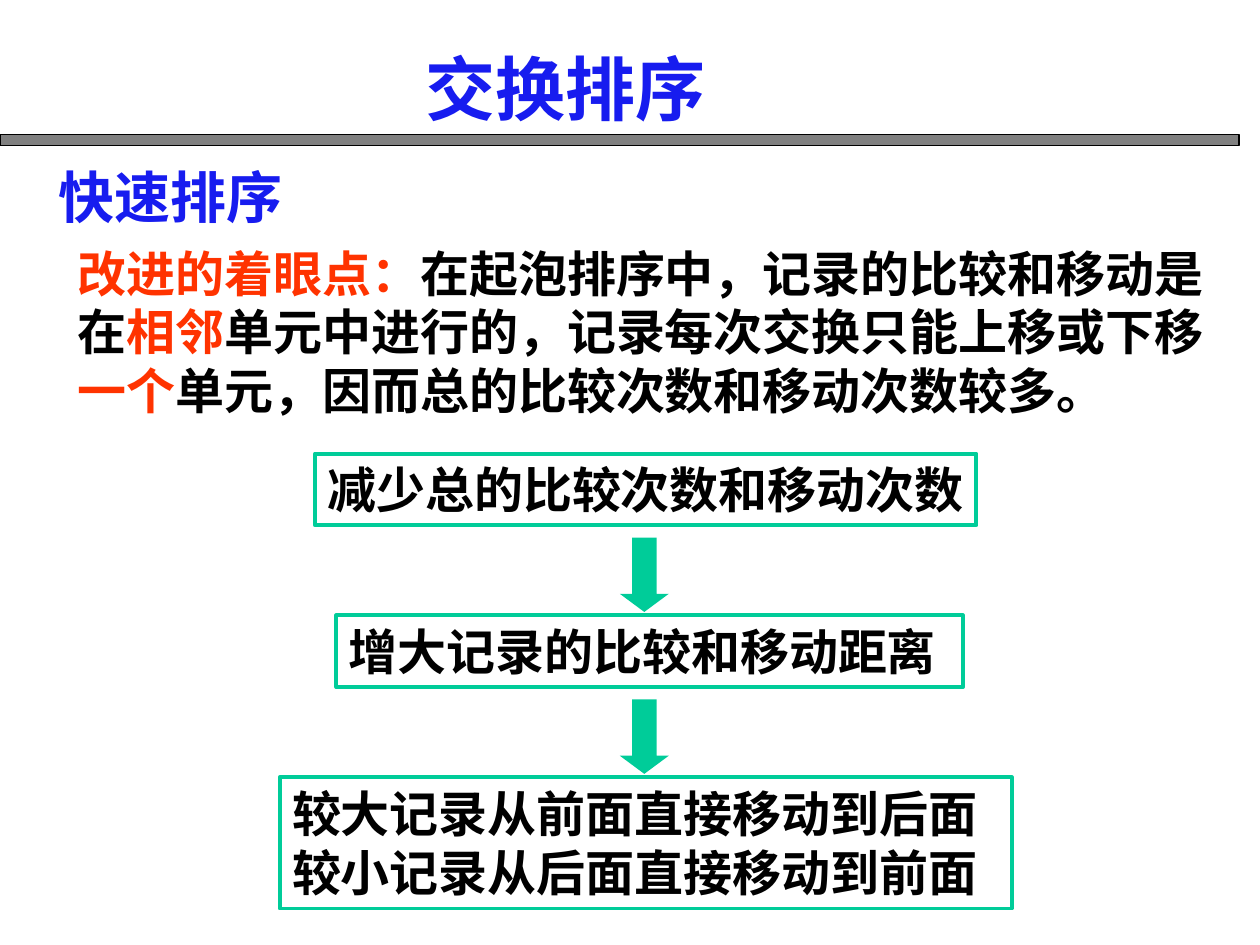
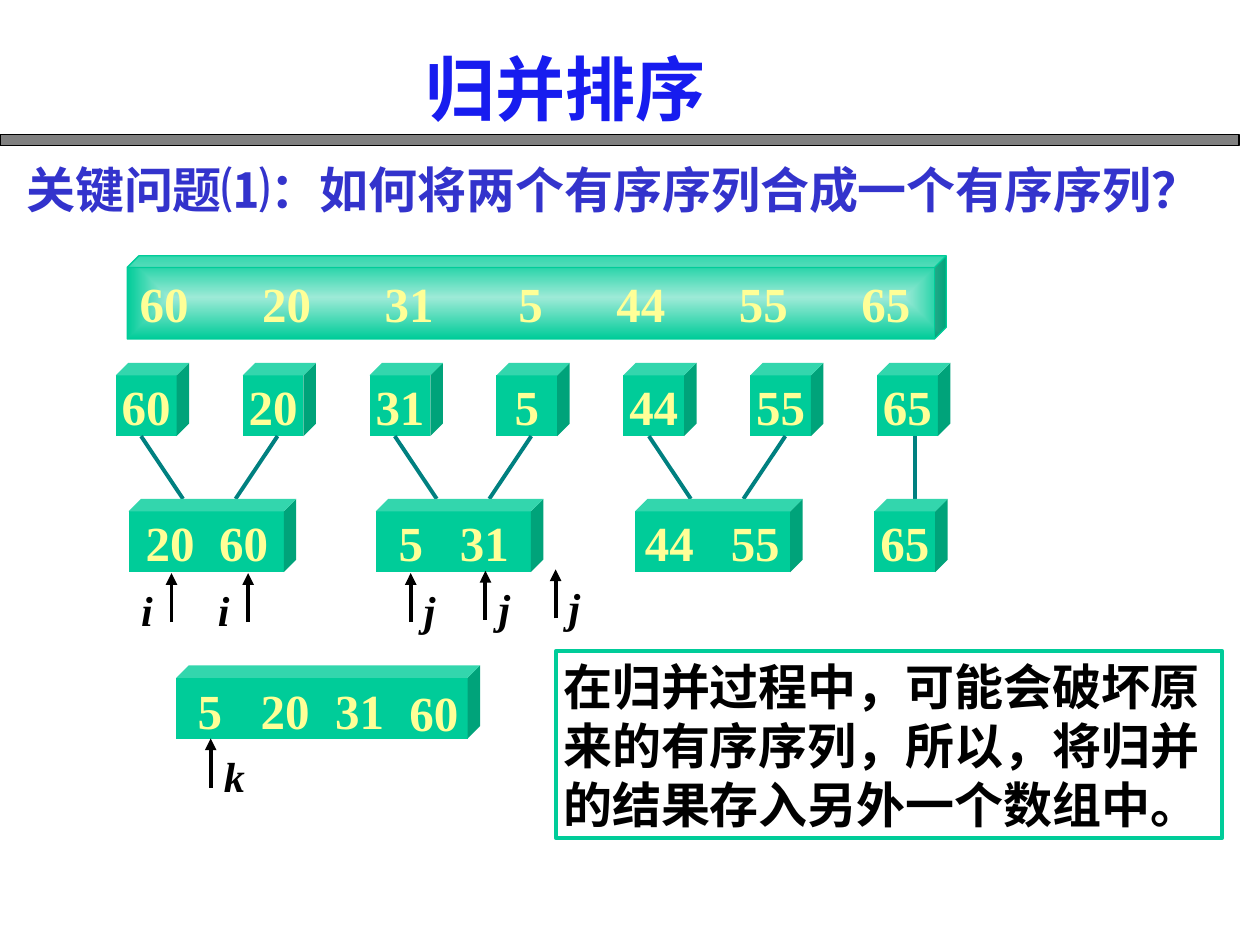
import pptx
import pptx.dml.color
import pptx.enum.shapes
import pptx.enum.text
import pptx.oxml
import pptx.oxml.ns
import pptx.util
from lxml import etree

Pt = pptx.util.Pt
qn = pptx.oxml.ns.qn
SHAPE = pptx.enum.shapes.MSO_SHAPE
ANCHOR = pptx.enum.text.MSO_ANCHOR
ALIGN = pptx.enum.text.PP_ALIGN

GREEN, PALE_GREEN, TEAL = "00CC99", "9DEAD7", "008080"
TITLE_BLUE, QUESTION_BLUE = "171CEF", "3333CC"
RED, BLACK, GRAY, YELLOW = "FF3300", "000000", "808080", "FFFF97"
CJK, SERIF, SANS = "Noto Sans CJK SC", "Times New Roman", "Arial"
MARGINS = (7.2, 3.6, 7.2, 3.6)
CUBE, DEPTH = 41.8, 0.17


def rgb(hex_text):
    return pptx.dml.color.RGBColor.from_string(hex_text)


def add_text_shadow(run):
    properties = run.font._element if hasattr(run.font, "_element") else run._r.get_or_add_rPr()
    effects = etree.Element(qn("a:effectLst"))
    shadow = etree.SubElement(effects, qn("a:outerShdw"), dist="25400", dir="2700000")
    etree.SubElement(shadow, qn("a:srgbClr"), val=GRAY)
    properties.find(qn("a:solidFill")).addnext(effects)


def add_run(paragraph, text, size=28, font=SERIF, color=BLACK, italic=False, shadow=False):
    run = paragraph.add_run()
    run.text = text
    run.font.size, run.font.bold, run.font.italic = Pt(size), True, italic
    run.font.color.rgb = rgb(color)
    run.font.name = font
    latin = run._r.get_or_add_rPr().find(qn("a:latin"))
    latin.addnext(etree.Element(qn("a:ea"), typeface=CJK))
    if shadow:
        add_text_shadow(run)


def write(shape, *paragraphs, margins=MARGINS, anchor=ANCHOR.TOP, align=ALIGN.LEFT,
          wrap=True, tabs=(), **style):
    """Fill a shape; a paragraph is a string or a list of (text, style changes)."""
    frame = shape.text_frame
    frame.word_wrap, frame.vertical_anchor = wrap, anchor
    frame.auto_size = pptx.enum.text.MSO_AUTO_SIZE.NONE
    (frame.margin_left, frame.margin_top,
     frame.margin_right, frame.margin_bottom) = map(Pt, margins)
    for index, content in enumerate(paragraphs):
        paragraph = frame.add_paragraph() if index else frame.paragraphs[0]
        paragraph.alignment = align
        if tabs:
            stops = etree.SubElement(paragraph._p.get_or_add_pPr(), qn("a:tabLst"))
            for stop in tabs:
                etree.SubElement(stops, qn("a:tab"), pos=str(int(Pt(stop))), algn="l")
        for text, changes in [(content, {})] if isinstance(content, str) else content:
            add_run(paragraph, text, **{**style, **changes})


def add_label(shapes, box, *paragraphs, **style):
    label = shapes.add_textbox(*map(Pt, box))
    write(label, *paragraphs, **style)


def add_block(shapes, kind, box, fill=None, line=None, width=2.25):
    block = shapes.add_shape(kind, *map(Pt, box))
    block.shadow.inherit = False
    if fill:
        block.fill.solid()
        block.fill.fore_color.rgb = rgb(fill)
    else:
        block.fill.background()
    if line:
        block.line.color.rgb = rgb(line)
        block.line.width = Pt(width)
    else:
        block.line.fill.background()
    return block


def add_framed_text(shapes, box, *paragraphs, **style):
    write(add_block(shapes, SHAPE.RECTANGLE, box, line=GREEN), *paragraphs, **style)


def add_cube(shapes, box, numbers="", **style):
    cube = add_block(shapes, SHAPE.CUBE, box, fill=GREEN)
    cube.adjustments[0] = DEPTH
    if numbers:
        write(cube, numbers, anchor=ANCHOR.MIDDLE, color=YELLOW, **style)


def add_line(shapes, start, end, color, arrow=False):
    line = shapes.add_connector(pptx.enum.shapes.MSO_CONNECTOR.STRAIGHT,
                                *map(Pt, (*start, *end)))
    line.line.color.rgb = rgb(color)
    line.line.width = Pt(2.25)
    if arrow:
        etree.SubElement(line.line._get_or_add_ln(), qn("a:tailEnd"), type="triangle")
    etree.SubElement(line._element.spPr, qn("a:effectLst"))


def prepare_layout(deck):
    layout = deck.slide_layouts[5]
    title = layout.placeholders[0]
    title.left, title.top, title.width, title.height = map(Pt, (236.2, 22.3, 228.2, 55.4))
    return layout


def add_titled_slide(deck, layout, title):
    slide = deck.slides.add_slide(layout)
    write(slide.shapes.title, title, size=40, font=CJK, color=TITLE_BLUE, shadow=True)
    return slide


def add_band_to_layout(layout, slide):
    """Draw the band on a slide, then move it to the layout that all slides share."""
    band = add_block(slide.shapes, SHAPE.RECTANGLE, (0, 77, 708, 6),
                     fill=GRAY, line=BLACK, width=0.75)
    layout.shapes.element.append(band._element)


def add_reasoning_flow(shapes, center, top):
    """Stack the framed steps at an equal pitch with a block arrow in each gap."""
    pitch, arrow_width = 92.5, 28
    steps = [
        (180, 378, 41, ["减少总的比较次数和移动次数"]),
        (192.2, 358, 41, ["增大记录的比较和移动距离"]),
        (159.8, 418.3, 75, ["较大记录从前面直接移动到后面", "较小记录从后面直接移动到前面"]),
    ]
    for index, (left, width, height, lines) in enumerate(steps):
        step_top = top + index * pitch
        add_framed_text(shapes, (left, step_top, width, height), *lines,
                        font=SANS, wrap=index > 0)
        if index < len(steps) - 1:
            arrow = add_block(shapes, SHAPE.DOWN_ARROW,
                              (center - arrow_width / 2, step_top + 48, arrow_width, 42.5),
                              fill=GREEN)
            arrow.adjustments[1] = 0.37


def build_quick_sort(slide):
    shapes = slide.shapes
    add_label(shapes, (26.6, 89.3, 480, 46), "快速排序",
              size=32, font=CJK, color=TITLE_BLUE, shadow=True)
    red = {"color": RED}
    add_label(shapes, (37.4, 135.4, 666, 108), [
        ("改进的着眼点：", red),
        ("在起泡排序中，记录的比较和移动是在", {}),
        ("相邻", red),
        ("单元中进行的，记录每次交换只能上移或下移", {}),
        ("一个", red),
        ("单元，因而总的比较次数和移动次数较多。", {}),
    ])
    add_reasoning_flow(shapes, center=368.2, top=259.2)


def add_input_bar(shapes, box):
    bar = add_block(shapes, SHAPE.CUBE, box, line=GREEN, width=0.75)
    bar.adjustments[0] = 0.14
    properties = bar._element.spPr
    gradient = etree.Element(qn("a:gradFill"), rotWithShape="1")
    stops = etree.SubElement(gradient, qn("a:gsLst"))
    for position, color in (("0", PALE_GREEN), ("100000", GREEN)):
        stop = etree.SubElement(stops, qn("a:gs"), pos=position)
        etree.SubElement(stop, qn("a:srgbClr"), val=color)
    rectangle = etree.SubElement(gradient, qn("a:path"), path="rect")
    etree.SubElement(rectangle, qn("a:fillToRect"), l="50000", t="50000", r="50000", b="50000")
    properties.replace(properties.find(qn("a:noFill")), gradient)
    write(bar, "60\t20\t31\t5\t44\t55\t65", anchor=ANCHOR.MIDDLE, color=YELLOW,
          tabs=(70, 140, 216.5, 272.5, 342.5, 412.5))


def add_single_numbers(shapes, left, top):
    group = shapes.add_group_shape()
    for index, number in enumerate(("60", "20", "31", "5", "44", "55", "65")):
        add_cube(group.shapes, (left + 72.5 * index, top, CUBE, CUBE), number,
                 align=ALIGN.CENTER, wrap=False)


def add_merged_pairs(shapes, line_top, top):
    # cube left, left end of the branches, numbers, text inset, tab stop
    pairs = [
        (73.5, 80.6, "20\t60", 9.7, 42),
        (214.7, 225.6, "5\t31", 13.1, 35),
        (362.9, 370.8, "44\t55", 5.7, 49),
    ]
    for left, branch, numbers, inset, stop in pairs:
        group = shapes.add_group_shape()
        for start, end in ((0, 24), (78, 54)):
            add_line(group.shapes, (branch + start, line_top), (branch + end, top), TEAL)
        add_cube(group.shapes, (left, top, 95.8, CUBE), numbers,
                 margins=(inset, 3.6, 0, 3.6), tabs=(stop,))
    unpaired = shapes.add_group_shape()
    add_line(unpaired.shapes, (522.7, line_top), (522.7, top), TEAL)
    add_cube(unpaired.shapes, (499.7, top, CUBE, CUBE), "65", align=ALIGN.CENTER, wrap=False)


def add_merge_result(shapes, left, top):
    add_cube(shapes, (left, top, 173.5, CUBE))
    for number, offset, drop in (("5", 12.2, 8.6), ("20", 48.2, 8.6),
                                 ("31", 90.7, 8.6), ("60", 133.2, 10)):
        add_label(shapes, (left + offset, top + drop, 30, 33.8), number,
                  margins=(0, 0, 0, 0), color=YELLOW)


def add_index_pointer(shapes, letter, tip_x, tip_y, label_offset):
    group = shapes.add_group_shape()
    add_line(group.shapes, (tip_x, tip_y + 28), (tip_x, tip_y), BLACK, arrow=True)
    add_label(group.shapes, (tip_x + label_offset, tip_y + 6.8, 14.4, 28.8), letter,
              margins=(0, 0, 0, 0), size=24, italic=True)


def build_merge_sort(slide):
    shapes = slide.shapes
    add_framed_text(shapes, (317.5, 372.2, 381, 106.6),
                    "在归并过程中，可能会破坏原来的有序序列，所以，将归并的结果存入另外一个数组中。",
                    margins=(4.3, 2.9, 1.4, 2.9), anchor=ANCHOR.MIDDLE, font=CJK)
    add_label(shapes, (7.9, 87.8, 692, 41), [
        ("关键问题⑴：", {"font": CJK}),
        ("如何将两个有序序列合成一个有序序列？", {"font": SANS}),
    ], color=QUESTION_BLUE)
    add_single_numbers(shapes, left=66.2, top=207.4)
    add_merged_pairs(shapes, line_top=249.2, top=285.1)
    add_input_bar(shapes, (72.7, 146.2, 468, 47.5))
    add_merge_result(shapes, left=100.8, top=380.2)
    before, after = -17.3, 7.5
    for pointer in (("i", 98, 327.5, before), ("i", 141.8, 327.5, before),
                    ("j", 234.7, 327.5, after), ("j", 277.4, 326.2, after),
                    ("j", 317.5, 325.4, after), ("k", 120.4, 422, after)):
        add_index_pointer(shapes, *pointer)


def main():
    deck = pptx.Presentation()
    deck.slide_width, deck.slide_height = Pt(720), Pt(540)
    layout = prepare_layout(deck)
    quick_sort = add_titled_slide(deck, layout, "交换排序")
    add_band_to_layout(layout, quick_sort)
    build_quick_sort(quick_sort)
    build_merge_sort(add_titled_slide(deck, layout, "归并排序"))
    deck.save("out.pptx")


if __name__ == "__main__":
    main()
